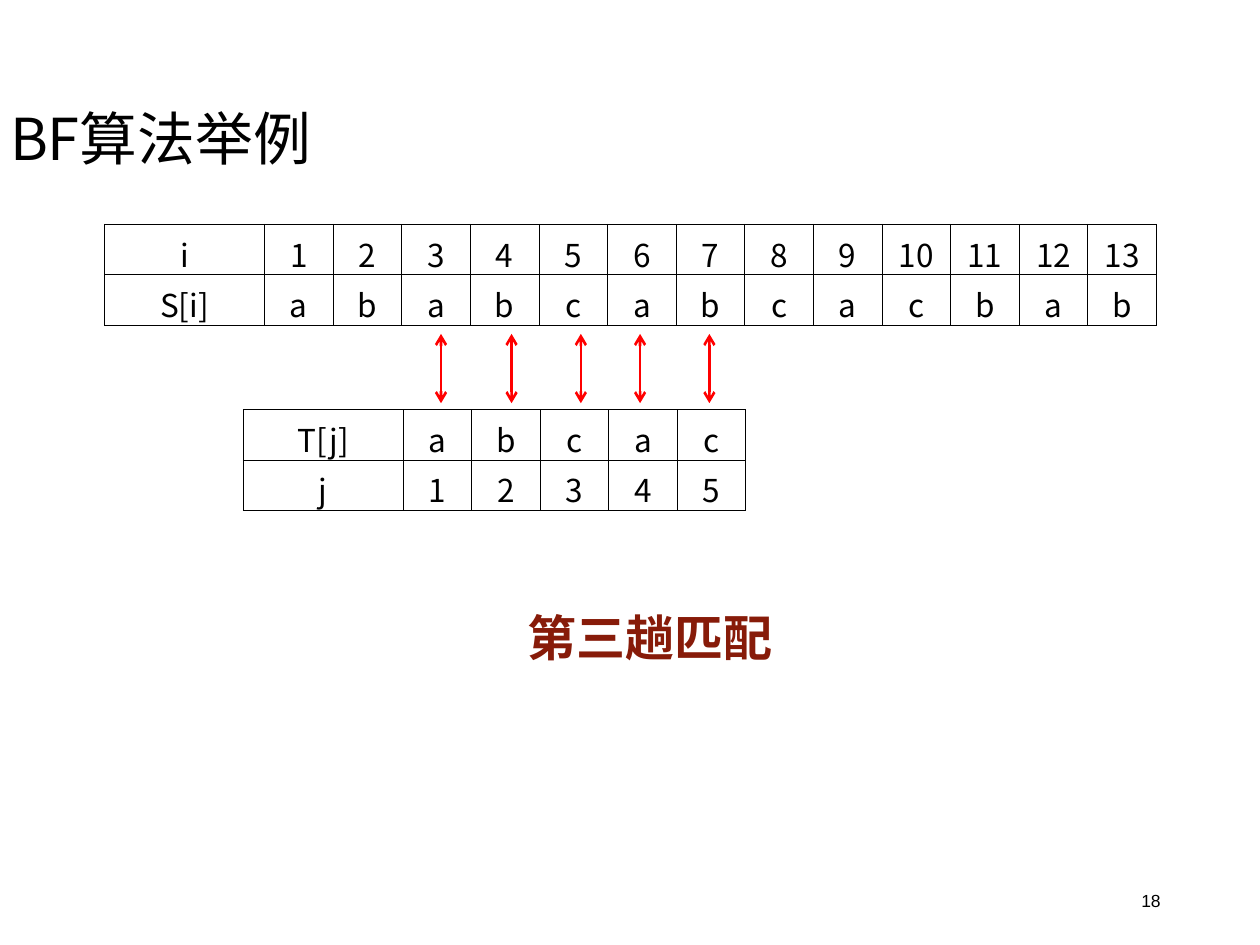
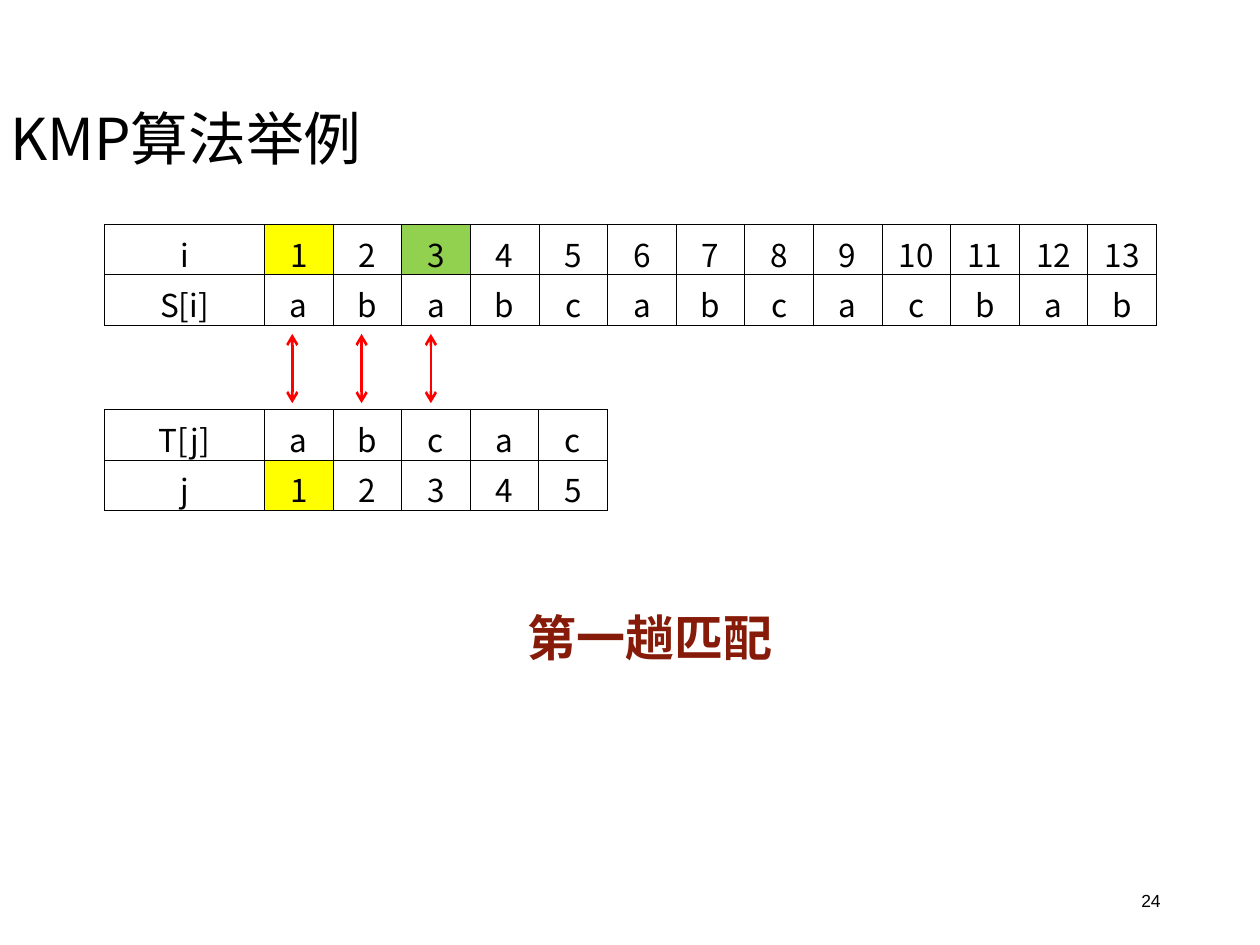
import pptx
import pptx.dml.color
import pptx.enum.shapes
import pptx.enum.text
import pptx.oxml.ns
import pptx.util
from lxml import etree

Inches = pptx.util.Inches
Pt = pptx.util.Pt
ALIGN = pptx.enum.text.PP_ALIGN
ANCHOR = pptx.enum.text.MSO_ANCHOR
AUTO_SIZE = pptx.enum.text.MSO_AUTO_SIZE

COLORS = {
    "text": "000000",
    "grid": "000000",
    "match": "FF0000",
    "caption": "871B09",
    "start": "FFFF00",
    "next_start": "92D050",
}
CJK_FONT = "Noto Sans CJK SC"
LABEL_WIDTH = 1.27
ROW_HEIGHT = 0.4
GRID_WIDTH = 0.45

# Boxes: left, top, width, height in inches
TITLE_BOX = (0, 0.4, 8.63, 1.45)
PAGE_BOX = (7.06, 6.95, 2.25, 0.4)
CAPTION_BOX = (3.11, 4.77, 4.1, 0.57)
TEXT_BOX = (0.83, 1.78, 8.35, 0.81)
PATTERN_TOP, PATTERN_WIDTH = 3.25, 3.99
MATCH_TOP, MATCH_BOTTOM = 2.65, 3.2

TEXT_ROWS = [["i", *map(str, range(1, 14))], ["S[i]", *"ababcabcacbab"]]
PATTERN_ROWS = [["T[j]", *"abcac"], ["j", *map(str, range(1, 6))]]


def rgb(color):
    return pptx.dml.color.RGBColor.from_string(COLORS[color])


def add_xml(parent, tag, **attributes):
    return etree.SubElement(parent, pptx.oxml.ns.qn(tag), attributes)


def style_paragraph(paragraph, size, align, font=CJK_FONT, color="text", bold=False):
    paragraph.alignment = align
    paragraph.font.name = font
    paragraph.font.size = Pt(size)
    paragraph.font.bold = bold
    paragraph.font.color.rgb = rgb(color)
    add_xml(paragraph.font._element, "a:ea", typeface=CJK_FONT)


def add_text(slide, box, text, size, align, anchor=ANCHOR.MIDDLE, **style):
    frame = slide.shapes.add_textbox(*map(Inches, box)).text_frame
    frame.word_wrap = True
    frame.vertical_anchor = anchor
    frame.text = text
    style_paragraph(frame.paragraphs[0], size, align, **style)
    return frame


def add_title(slide, box, title):
    frame = add_text(slide, box, title, 33, ALIGN.LEFT)
    frame.margin_left = Inches(0.08)
    frame.paragraphs[0].line_spacing = 0.9


def add_caption(slide, box, caption):
    frame = add_text(slide, box, caption, 28, ALIGN.CENTER, ANCHOR.TOP,
                     font="Arial", color="caption", bold=True)
    frame.auto_size = AUTO_SIZE.SHAPE_TO_FIT_TEXT


def add_cell_borders(cell):
    properties = cell._tc.get_or_add_tcPr()
    for side in ("a:lnL", "a:lnR", "a:lnT", "a:lnB"):
        border = add_xml(properties, side, w=str(Pt(GRID_WIDTH)))
        add_xml(add_xml(border, "a:solidFill"), "a:srgbClr", val=COLORS["grid"])


def add_string_table(slide, box, rows, marks):
    """Draw a string with its indices; marks maps (row, column) to a colour."""
    columns = len(rows[0])
    table = slide.shapes.add_table(len(rows), columns, *map(Inches, box)).table
    table.first_row = table.horz_banding = False
    for column in table.columns:
        column.width = Inches((box[2] - LABEL_WIDTH) / (columns - 1))
    table.columns[0].width = Inches(LABEL_WIDTH)
    for r, values in enumerate(rows):
        table.rows[r].height = Inches(ROW_HEIGHT)
        for c, value in enumerate(values):
            cell = table.cell(r, c)
            cell.text = value
            style_paragraph(cell.text_frame.paragraphs[0], 18, ALIGN.CENTER)
            add_cell_borders(cell)
            if (r, c) in marks:
                cell.fill.solid()
                cell.fill.fore_color.rgb = rgb(marks[r, c])
            else:
                cell.fill.background()


def add_match_arrows(slide, first_value, top, bottom, offsets):
    for offset in offsets:
        x = Inches(first_value + offset)
        arrow = slide.shapes.add_connector(
            pptx.enum.shapes.MSO_CONNECTOR.STRAIGHT, x, Inches(top), x, Inches(bottom))
        arrow.line.color.rgb = rgb("match")
        arrow.line.width = Pt(1.5)
        line = arrow.line._get_or_add_ln()
        add_xml(line, "a:headEnd", type="arrow")
        add_xml(line, "a:tailEnd", type="arrow")
        add_xml(arrow._element.spPr, "a:effectLst")


def add_matching_slide(deck, page, title, caption, pattern_left, match_offsets,
                       text_marks, pattern_marks):
    slide = deck.slides.add_slide(deck.slide_layouts[6])
    add_text(slide, PAGE_BOX, page, 10, ALIGN.RIGHT, font="Arial")
    add_title(slide, TITLE_BOX, title)
    # Text and pattern, with the compared characters joined
    add_string_table(slide, TEXT_BOX, TEXT_ROWS, text_marks)
    pattern_box = (pattern_left, PATTERN_TOP, PATTERN_WIDTH, 2 * ROW_HEIGHT)
    add_string_table(slide, pattern_box, PATTERN_ROWS, pattern_marks)
    add_match_arrows(slide, pattern_left + LABEL_WIDTH, MATCH_TOP, MATCH_BOTTOM,
                     match_offsets)
    add_caption(slide, CAPTION_BOX, caption)


def main():
    deck = pptx.Presentation()
    deck.slide_width, deck.slide_height = Inches(10), Inches(7.5)
    add_matching_slide(
        deck, "18", "BF算法举例", "第三趟匹配", pattern_left=1.93,
        match_offsets=[0.3, 0.86, 1.41, 1.88, 2.43], text_marks={}, pattern_marks={})
    add_matching_slide(
        deck, "24", "KMP算法举例", "第一趟匹配", pattern_left=0.83,
        match_offsets=[0.22, 0.77, 1.32],
        text_marks={(0, 1): "start", (0, 3): "next_start"},
        pattern_marks={(1, 1): "start"})
    deck.save("out.pptx")


if __name__ == "__main__":
    main()
